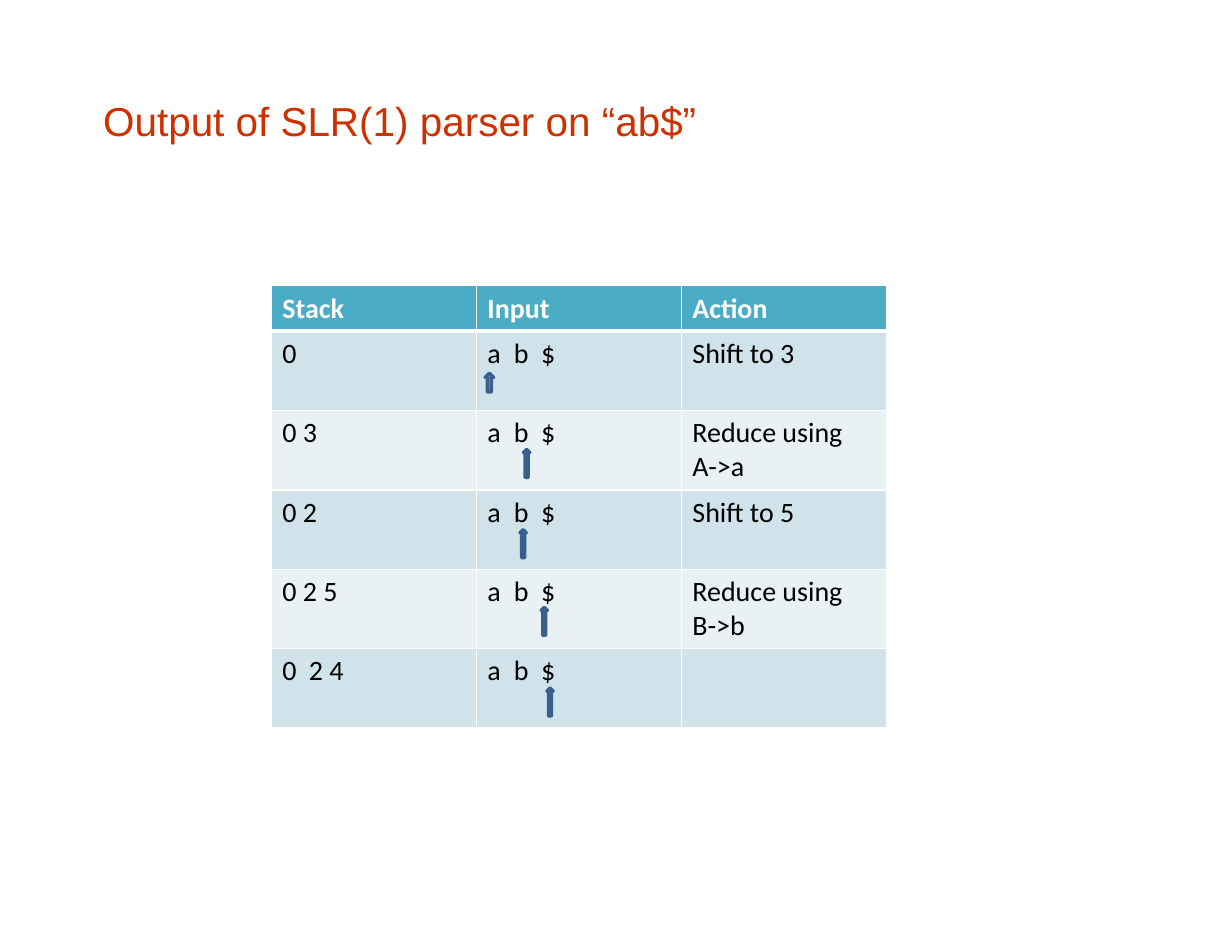
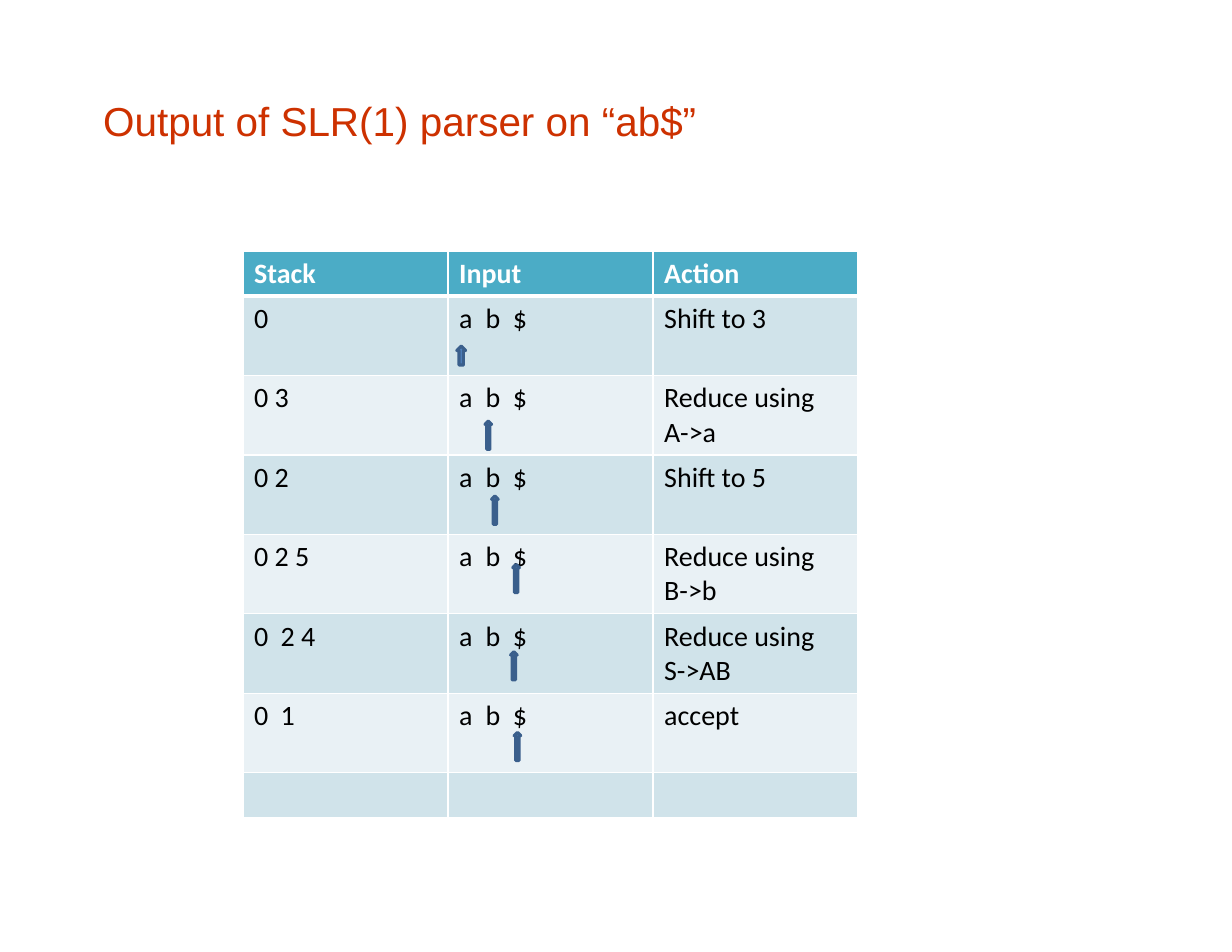
import pptx
import pptx.dml.color
import pptx.enum.shapes
import pptx.enum.text
import pptx.oxml
import pptx.oxml.ns
import pptx.util
from dataclasses import dataclass

Cm, Pt = pptx.util.Cm, pptx.util.Pt


@dataclass(frozen=True)
class Theme:
    title_color: str = "CD3100"
    header_fill: str = "4BACC6"
    header_text: str = "FFFFFF"
    body_text: str = "000000"
    bands: tuple = ("D0E3EA", "E9F1F5")
    border: str = "FFFFFF"
    arrow_fill: str = "4F81BD"
    arrow_line: str = "3A5F8C"
    title_font: str = "Arial"
    table_font: str = "Calibri"
    title_size: int = 26
    table_size: int = 18


THEME = Theme()

# Content: "\t" steps to the next symbol, "\v" breaks a line, "\n" starts a paragraph
TITLE = "Output of SLR(1) parser on “ab$”"
HEADER = ("Stack", "Input", "Action")
INPUT = "a\tb\t$"
FIRST_STEPS = [
    ("0", INPUT, "Shift to 3"),
    ("0 3", INPUT, "Reduce using \vA->a"),
    ("0 2", INPUT, "Shift to 5"),
    ("0 2 5", INPUT, "Reduce using \vB->b"),
]
# Arrow places are offsets in cm from the corner of each step's input cell
PAGES = [
    {
        "corner": (6.15, 6.48),
        "steps": FIRST_STEPS + [("0\t2 4", INPUT, "")],
        "arrows": [(0.2, 0.95), (1.07, 0.88), (0.99, 0.9), (1.47, 0.86), (1.6, 0.89)],
    },
    {
        "corner": (5.51, 5.69),
        "steps": FIRST_STEPS + [
            ("0\t2 4", INPUT, "Reduce using\nS->AB"),
            ("0\t1", INPUT, "accept"),
            ("", "", ""),
        ],
        "arrows": [(0.2, 1.13), (0.84, 1.03), (0.99, 0.93), (1.47, 0.68),
                   (1.42, 0.86), (1.5, 0.89)],
    },
]

# Measures in cm
COLUMN_WIDTH = 4.65
SHORT_ROW, STEP_ROW = 1.03, 1.8
TAB_STOPS = (0.6, 1.22)
FIRST_ARROW, LATER_ARROW = (0.2, 0.43), (0.15, 0.64)


def rgb(color):
    return pptx.dml.color.RGBColor.from_string(color)


def put_text(frame, text, *, font, size, color, bold=False, tabs=()):
    """Fill a text frame and format each of its runs."""
    frame.text = text
    for para in frame.paragraphs:
        para.alignment = pptx.enum.text.PP_ALIGN.LEFT
        if tabs and "\t" in text:
            stops = "".join(f'<a:tab pos="{Cm(stop)}" algn="l"/>' for stop in tabs)
            namespace = pptx.oxml.ns.nsdecls("a")
            para._p.get_or_add_pPr().append(
                pptx.oxml.parse_xml(f"<a:tabLst {namespace}>{stops}</a:tabLst>"))
        for span in para.runs:
            span.font.name = font
            span.font.size = Pt(size)
            span.font.bold = bold
            span.font.color.rgb = rgb(color)


def set_borders(cell, top, bottom):
    """Draw the four borders; widths are in points."""
    widths = {"lnL": 1, "lnR": 1, "lnT": top, "lnB": bottom}
    properties = cell._tc.get_or_add_tcPr()
    for place, (tag, width) in enumerate(widths.items()):
        properties.insert(place, pptx.oxml.parse_xml(
            f'<a:{tag} {pptx.oxml.ns.nsdecls("a")} w="{Pt(width)}"><a:solidFill>'
            f'<a:srgbClr val="{THEME.border}"/></a:solidFill></a:{tag}>'))


def add_title(page):
    box = page.shapes.title
    box.left, box.top, box.width, box.height = Cm(2.34), Cm(2.18), Cm(14.33), Cm(1.12)
    frame = box.text_frame
    frame.margin_left = frame.margin_right = frame.margin_top = frame.margin_bottom = 0
    frame.vertical_anchor = pptx.enum.text.MSO_ANCHOR.TOP
    frame.auto_size = pptx.enum.text.MSO_AUTO_SIZE.SHAPE_TO_FIT_TEXT
    put_text(frame, TITLE, font=THEME.title_font, size=THEME.title_size,
             color=THEME.title_color)


def add_trace_table(page, corner, steps):
    rows = [HEADER] + steps
    heights = [SHORT_ROW] + [STEP_ROW if any(step) else SHORT_ROW for step in steps]
    left, top = corner
    table = page.shapes.add_table(
        len(rows), len(HEADER), Cm(left), Cm(top),
        Cm(COLUMN_WIDTH * len(HEADER)), Cm(sum(heights))).table
    for column in table.columns:
        column.width = Cm(COLUMN_WIDTH)
    for r, (texts, height) in enumerate(zip(rows, heights)):
        table.rows[r].height = Cm(height)
        is_header = r == 0
        for c, text in enumerate(texts):
            cell = table.cell(r, c)
            cell.fill.solid()
            cell.fill.fore_color.rgb = rgb(
                THEME.header_fill if is_header else THEME.bands[(r - 1) % 2])
            set_borders(cell, top=3 if r == 1 else 1, bottom=3 if is_header else 1)
            put_text(cell.text_frame, text, font=THEME.table_font,
                     size=THEME.table_size, bold=is_header, tabs=TAB_STOPS,
                     color=THEME.header_text if is_header else THEME.body_text)


def add_input_arrows(page, corner, arrows):
    left, top = corner
    for step, (across, down) in enumerate(arrows):
        width, height = LATER_ARROW if step else FIRST_ARROW
        arrow = page.shapes.add_shape(
            pptx.enum.shapes.MSO_SHAPE.UP_ARROW,
            Cm(left + COLUMN_WIDTH + across),
            Cm(top + SHORT_ROW + step * STEP_ROW + down), Cm(width), Cm(height))
        arrow.shadow.inherit = False
        arrow.fill.solid()
        arrow.fill.fore_color.rgb = rgb(THEME.arrow_fill)
        arrow.line.color.rgb = rgb(THEME.arrow_line)
        arrow.line.width = Pt(2)


def main():
    deck = pptx.Presentation()
    deck.slide_width, deck.slide_height = Cm(27.94), Cm(21.59)
    title_only = deck.slide_layouts[5]
    for content in PAGES:
        page = deck.slides.add_slide(title_only)
        add_title(page)
        add_trace_table(page, content["corner"], content["steps"])
        add_input_arrows(page, content["corner"], content["arrows"])
    deck.save("out.pptx")


if __name__ == "__main__":
    main()
